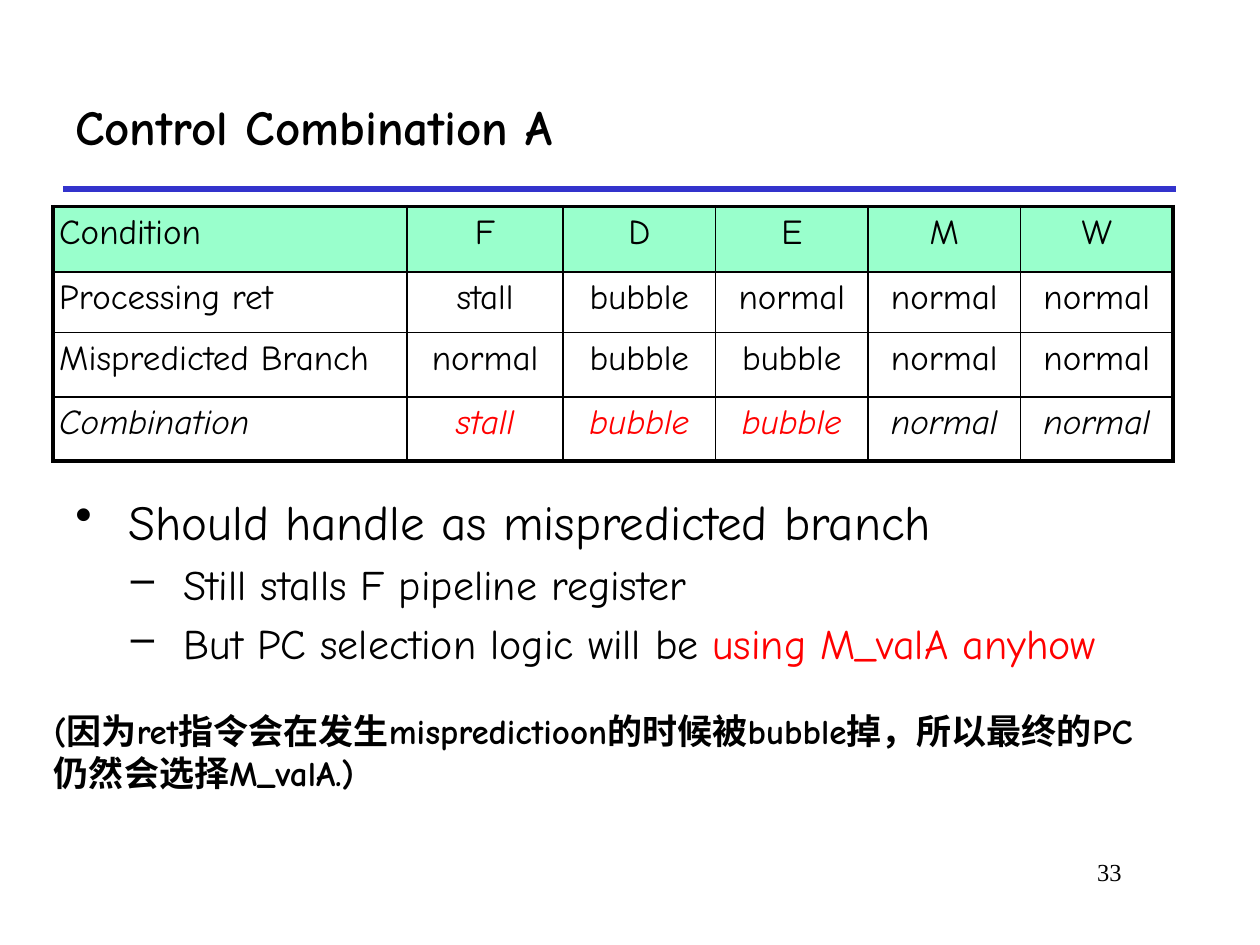
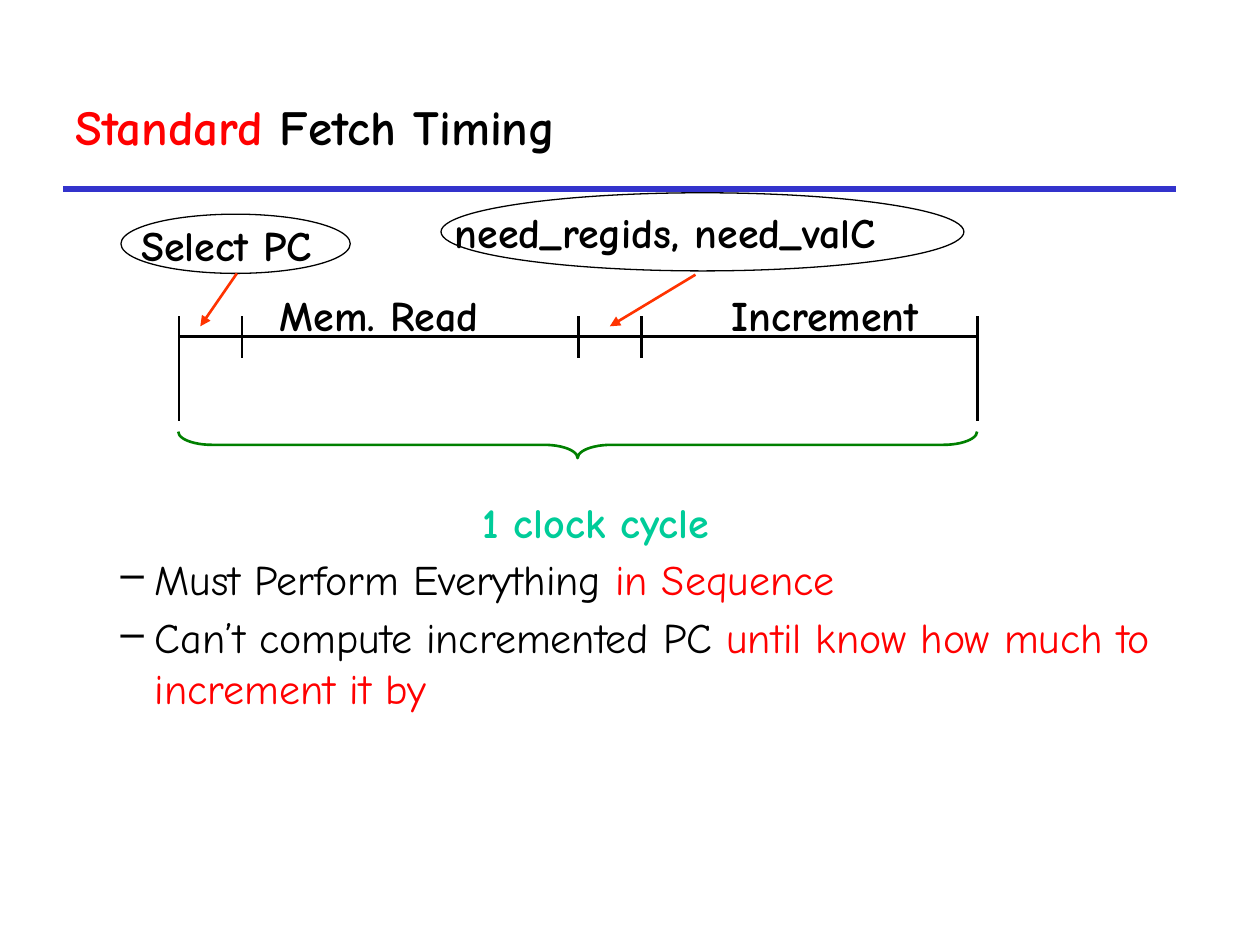
from pptx import Presentation
from pptx.dml.color import RGBColor
from pptx.enum.shapes import MSO_CONNECTOR, MSO_SHAPE
from pptx.enum.text import MSO_ANCHOR, PP_ALIGN
from pptx.oxml.ns import qn
from pptx.util import Inches, Pt
from lxml import etree

LINE = MSO_CONNECTOR.STRAIGHT
OVAL, BRACE = MSO_SHAPE.OVAL, MSO_SHAPE.LEFT_BRACE
LEFT, MID, RIGHT = PP_ALIGN.LEFT, PP_ALIGN.CENTER, PP_ALIGN.RIGHT
TOP, MIDDLE = MSO_ANCHOR.TOP, MSO_ANCHOR.MIDDLE

HUES = {"ink": "000000", "red": "FF0000", "rule": "3333CC", "head": "99FFCC",
        "arrow": "FF3300", "brace": "008000", "cycle": "00CC99"}
FACE = "Comic Neue"


def hue(name):
    return RGBColor.from_string(HUES[name])


class Deck:
    def __init__(self):
        self.show = Presentation()
        self.show.slide_width = Inches(10)
        self.show.slide_height = Inches(7.5)
        self.page = None

    def start(self, *title):
        """Add a slide with its rule and title."""
        self.page = self.show.slides.add_slide(self.show.slide_layouts[6])
        self.line(0.5, 1.5, 9.33, 1.5, "rule", 3)
        frame = self.frame(0.5, 0.5, 8.83, 1, anchor=MIDDLE)
        self.text(frame.paragraphs[0], title, 28, bold=True)

    def frame(self, x, y, w, h, wrap=True, pad=None, anchor=TOP):
        box = self.page.shapes.add_textbox(*map(Inches, (x, y, w, h)))
        frame = box.text_frame
        frame.word_wrap = wrap
        frame.vertical_anchor = anchor
        if pad is not None:
            frame.margin_left = frame.margin_right = Inches(pad)
            frame.margin_top = frame.margin_bottom = Inches(pad)
        return frame

    def text(self, para, parts, size, color="ink", bold=False, italic=False,
             align=LEFT, face=FACE):
        """Fill a paragraph; a part is a string or a (string, colour) pair."""
        para.alignment = align
        font = para.font
        font.name, font.size, font.bold, font.italic = face, Pt(size), bold, italic
        mixed = any(isinstance(part, tuple) for part in parts)
        if not mixed:
            font.color.rgb = hue(color)
        for part in parts:
            words, tint = part if isinstance(part, tuple) else (part, color)
            run = para.add_run()
            run.text = words
            if mixed:
                run.font.color.rgb = hue(tint)

    def label(self, x, y, w, words, color="ink"):
        frame = self.frame(x, y, w, 0.51, wrap=False, pad=0.05)
        self.text(frame.paragraphs[0], [words], 24, color, bold=True)

    def bullets(self, x, y, w, h, items):
        """Each item is (level, size, left, hang, mark, parts)."""
        frame = self.frame(x, y, w, h)
        for i, (level, size, left, hang, mark, parts) in enumerate(items):
            para = frame.add_paragraph() if i else frame.paragraphs[0]
            para.level = level
            props = para._p.get_or_add_pPr()
            props.set("marL", str(Inches(left)))
            props.set("indent", str(-Inches(hang)))
            etree.SubElement(props, qn("a:buChar")).set("char", mark)
            if i:
                para.space_before = Pt(size * 0.2)
            self.text(para, parts, size)

    def line(self, x1, y1, x2, y2, color="ink", width=1.5, arrow=False):
        link = self.page.shapes.add_connector(LINE, *map(Inches, (x1, y1, x2, y2)))
        link.line.color.rgb = hue(color)
        link.line.width = Pt(width)
        if arrow:
            tail = etree.SubElement(link.line._get_or_add_ln(), qn("a:tailEnd"))
            tail.set("type", "triangle")
        etree.SubElement(link._element.spPr, qn("a:effectLst"))

    def shape(self, kind, x, y, w, h, color="ink", width=0.75):
        item = self.page.shapes.add_shape(kind, *map(Inches, (x, y, w, h)))
        item.shadow.inherit = False
        item.fill.background()
        item.line.color.rgb = hue(color)
        item.line.width = Pt(width)
        return item

    def edge(self, cell, side, width):
        line = etree.SubElement(cell._tc.get_or_add_tcPr(), qn("a:ln" + side))
        line.set("w", str(Pt(width)))
        fill = etree.SubElement(line, qn("a:solidFill"))
        etree.SubElement(fill, qn("a:srgbClr")).set("val", HUES["ink"])

    def table(self, x, y, wide, high, rows):
        grid = self.page.shapes.add_table(
            len(high), len(wide), Inches(x), Inches(y),
            Inches(sum(wide)), Inches(sum(high))).table
        grid.first_row = grid.horz_banding = False
        for col, w in zip(grid.columns, wide):
            col.width = Inches(w)
        for row, h in zip(grid.rows, high):
            row.height = Inches(h)
        end, last = len(high) - 1, len(wide) - 1
        for r, words in enumerate(rows):
            for c, word in enumerate(words):
                cell = grid.cell(r, c)
                cell.margin_left = cell.margin_right = Inches(0.05)
                cell.margin_top = cell.margin_bottom = Inches(0.05)
                # Heavy outer frame, thin inner grid
                outer = {"L": c == 0, "R": c == last, "T": r == 0, "B": r == end}
                for side, heavy in outer.items():
                    self.edge(cell, side, 2.25 if heavy else 1)
                if r == 0:
                    cell.fill.solid()
                    cell.fill.fore_color.rgb = hue("head")
                else:
                    cell.fill.background()
                # The result row is italic, with its acting stages in red
                acts = r == end and word in ("stall", "bubble")
                self.text(cell.text_frame.paragraphs[0], [word], 20,
                          "red" if acts else "ink", italic=r == end,
                          align=MID if c else LEFT)


def combine(deck):
    deck.start("Control Combination A")

    # Page number
    number = deck.frame(7.58, 6.75, 1.42, 0.5)
    deck.text(number.paragraphs[0], ["33"], 14, align=RIGHT, face="Times New Roman")

    # Findings
    deck.bullets(0.5, 3.85, 9.2, 3.05, [
        (0, 28, 0.42, 0.42, "•", ["Should handle as mispredicted branch"]),
        (1, 24, 0.86, 0.42, "–", ["Still stalls F pipeline register"]),
        (1, 24, 0.86, 0.42, "–", ["But PC selection logic will be ",
                                  ("using M_valA anyhow", "red")]),
    ])

    # Pipeline stages
    deck.table(0.42, 1.64, [2.81, 1.24] + [1.21] * 4, [0.52, 0.48, 0.51, 0.51], [
        ["Condition", "F", "D", "E", "M", "W"],
        ["Processing ret", "stall", "bubble", "normal", "normal", "normal"],
        ["Mispredicted Branch", "normal", "bubble", "bubble", "normal", "normal"],
        ["Combination", "stall", "bubble", "bubble", "normal", "normal"],
    ])

    # Remark
    note = deck.frame(0.33, 5.58, 9.11, 0.77)
    deck.text(note.paragraphs[0], [
        "(因为ret指令会在发生mispredictioon的时候被bubble掉，所以最终的PC"], 20, bold=True)
    deck.text(note.add_paragraph(), ["仍然会选择M_valA.)"], 20, bold=True)


def timing(deck):
    deck.start(("Standard", "red"), " Fetch Timing")

    # Findings
    deck.bullets(0.32, 4.34, 9.09, 2.71, [
        (1, 24, 0.81, 0.27, "–", ["Must Perform Everything ",
                                  ("in Sequence", "red")]),
        (1, 24, 0.81, 0.27, "–", ["Can’t compute incremented PC ",
                                  ("until know how much to increment it by", "red")]),
    ])

    # Time line: long ticks at both ends
    ticks = [1.42, 1.92, 4.59, 5.09, 7.76]
    for x in ticks:
        deck.line(x, 2.51, x, 3.34 if x in (ticks[0], ticks[-1]) else 2.84)
    for x1, x2 in zip(ticks, ticks[1:]):
        deck.line(x1, 2.67, x2, 2.67)

    # Step names
    deck.label(1.07, 1.69, 1.67, "Select PC")
    deck.label(2.17, 2.25, 1.93, "Mem. Read")
    deck.label(5.76, 2.25, 1.77, "Increment")
    deck.label(3.56, 1.59, 3.95, "need_regids, need_valC")

    # Callouts
    deck.shape(OVAL, 0.96, 1.7, 1.82, 0.47)
    deck.shape(OVAL, 3.5, 1.53, 4.15, 0.62)
    deck.line(1.88, 2.17, 1.59, 2.59, "arrow", arrow=True)
    deck.line(5.52, 2.18, 4.84, 2.59, "arrow", arrow=True)

    # Whole cycle
    brace = deck.shape(BRACE, 4.48, 0.36, 0.21, 6.34, "brace", 1.5)
    brace.rotation = 270
    brace.adjustments[0] = 1.27
    deck.label(3.78, 3.89, 2.21, "1 clock cycle", "cycle")


def main():
    deck = Deck()
    combine(deck)
    timing(deck)
    deck.show.save("out.pptx")


if __name__ == "__main__":
    main()
